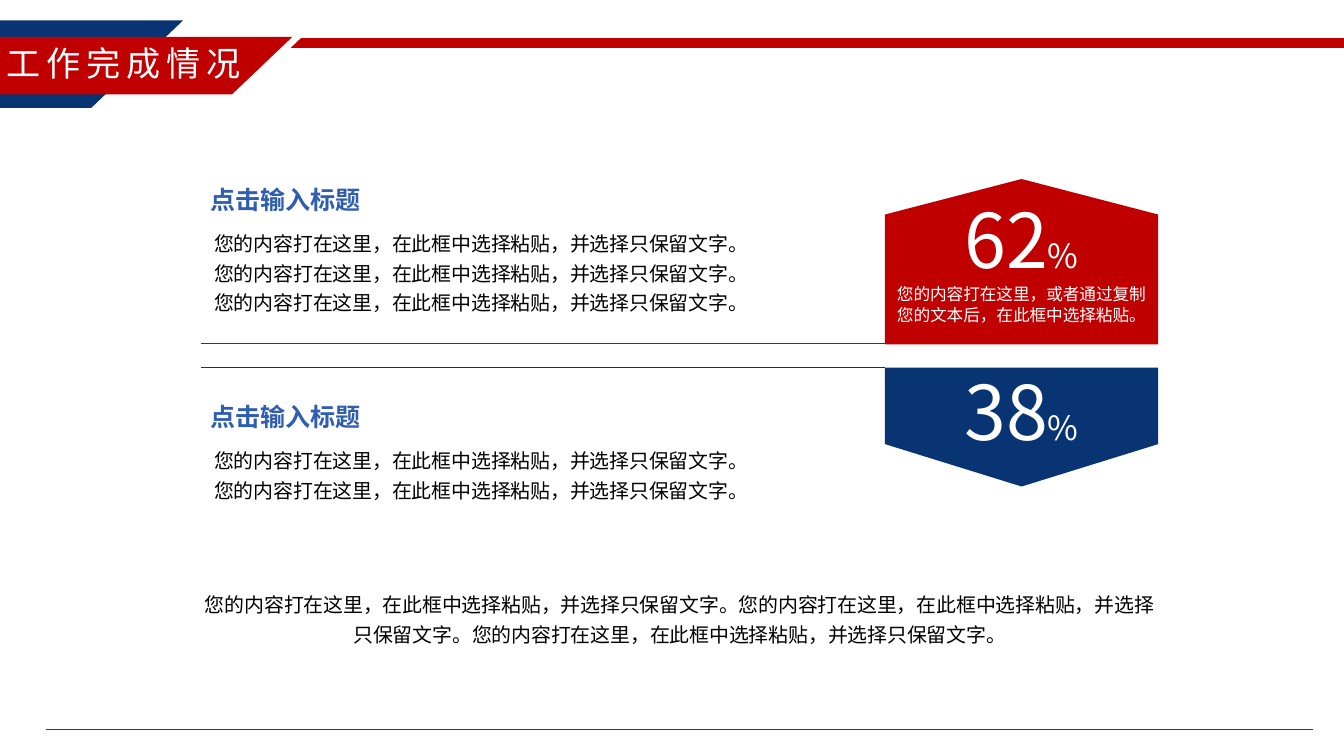
from lxml import etree
from pptx import Presentation
from pptx.dml.color import RGBColor
from pptx.enum.shapes import MSO_CONNECTOR, MSO_SHAPE
from pptx.enum.text import MSO_ANCHOR, MSO_AUTO_SIZE, PP_ALIGN
from pptx.oxml.ns import qn
from pptx.util import Pt

PX = 9144
LEFT, CENTER = PP_ALIGN.LEFT, PP_ALIGN.CENTER
TOP, MIDDLE = MSO_ANCHOR.TOP, MSO_ANCHOR.MIDDLE
NO_AUTOFIT = MSO_AUTO_SIZE.NONE
STRAIGHT, PARALLELOGRAM = MSO_CONNECTOR.STRAIGHT, MSO_SHAPE.PARALLELOGRAM
CJK = "Noto Sans CJK SC"
COLORS = {"red": "C00000", "navy": "083473", "blue": "2F5EB0",
          "white": "FFFFFF", "black": "000000"}
SENTENCE = "您的内容打在这里，在此框中选择粘贴，并选择只保留文字。"


def write(sp, paragraphs, color="black", font=CJK, bold=False, align=LEFT,
          spacing=1.0, before=0, tracking=0, insets=(7, 4, 7, 4), anchor=TOP):
    tf = sp.text_frame
    tf.word_wrap = True
    tf.auto_size = NO_AUTOFIT
    tf.vertical_anchor = anchor
    tf.margin_left, tf.margin_top, tf.margin_right, tf.margin_bottom = (
        v * PX for v in insets)
    for i, runs in enumerate(paragraphs):
        p = tf.add_paragraph() if i else tf.paragraphs[0]
        p.alignment = align
        p.line_spacing = spacing
        p.space_before = Pt(before)
        for text, size in runs:
            r = p.add_run()
            r.text = text
            r.font.size = Pt(size)
            r.font.bold = bold
            r.font.name = font
            r.font.color.rgb = RGBColor.from_string(COLORS[color])
            rpr = r.font._element
            etree.SubElement(rpr, qn("a:ea")).set("typeface", CJK)
            if tracking:
                rpr.set("spc", str(tracking))


def paint(sp, color):
    sp.shadow.inherit = False
    sp.fill.solid()
    sp.fill.fore_color.rgb = RGBColor.from_string(COLORS[color])
    sp.line.fill.background()


prs = Presentation()
prs.slide_width, prs.slide_height = 984 * PX, 551 * PX
s = prs.slides.add_slide(prs.slide_layouts[5])

badges = [
    ("red", [(648, 157), (748, 131), (848, 157), (848, 252), (648, 252)], 61,
     [[("62", 39.7), ("%", 17.6)],
      [("您的内容打在这里，或者通过复制您的文本后，在此框中选择粘贴。", 8.8)]]),
    ("navy", [(648, 269), (848, 269), (848, 325), (748, 356), (648, 325)], 49,
     [[("38", 39.7), ("%", 17.6)]]),
]
for color, points, inset, paragraphs in badges:
    outline = s.shapes.build_freeform(*points[0], scale=PX)
    outline.add_line_segments(points[1:], close=True)
    sp = outline.convert_to_shape()
    paint(sp, color)
    write(sp, paragraphs, color="white", align=CENTER, spacing=Pt(11),
          insets=(7, inset, 7, 4))

for color, x1, x2, y in [("red", 648, 147, 251), ("navy", 648, 147, 269),
                         ("red", 34, 961, 534)]:
    rule = s.shapes.add_connector(STRAIGHT, x1 * PX, y * PX, x2 * PX, y * PX)
    rule.line.color.rgb = RGBColor.from_string(COLORS[color])
    rule.line.width = Pt(0.5)
    etree.SubElement(rule._element.spPr, qn("a:effectLst"))

for y, height, paragraphs in [(131, 98, [SENTENCE * 2, SENTENCE]),
                              (290, 76, [SENTENCE * 2])]:
    heading = s.shapes.add_textbox(147 * PX, y * PX, 224 * PX, 30 * PX)
    write(heading, [[("点击输入标题", 13.2)]], color="blue", bold=True)
    body = s.shapes.add_textbox(147 * PX, (y + 29) * PX, 422 * PX, height * PX)
    write(body, [[(text, 10.5)] for text in paragraphs], font="Calibri",
          spacing=1.25, insets=(10, 5, 10, 5))

summary = s.shapes.add_textbox(139 * PX, 425 * PX, 718 * PX, 103 * PX)
write(summary, [[(SENTENCE * 3, 10.5)]], align=CENTER, spacing=1.25, before=2)

for color, x, y, w, h in [("navy", -81, 15, 215, 64), ("red", -81, 27, 295, 42),
                          ("red", 213, 28, 817, 7)]:
    band = s.shapes.add_shape(PARALLELOGRAM, x * PX, y * PX, w * PX, h * PX)
    band.adjustments[0] = 1.05
    paint(band, color)

title = s.shapes.title
title.left, title.top, title.width, title.height = -98 * PX, 26 * PX, 377 * PX, 40 * PX
write(title, [[("工作完成情况", 18)]], color="white", align=CENTER, tracking=300,
      insets=(10, 5, 10, 5), anchor=MIDDLE)
band._element.addnext(title._element)

prs.save("out.pptx")
